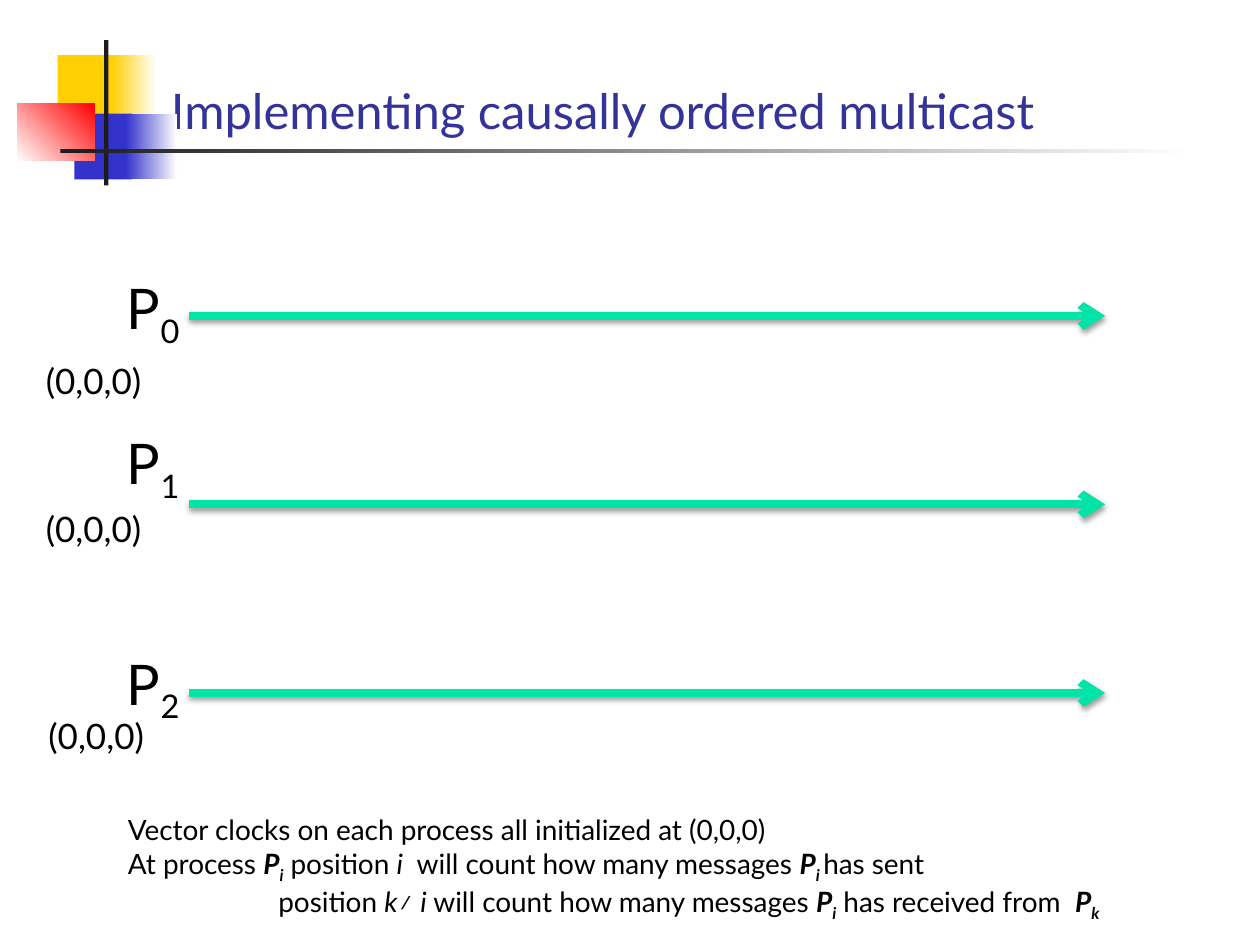
from lxml import etree
from pptx import Presentation
from pptx.dml.color import RGBColor
from pptx.enum.shapes import MSO_CONNECTOR as Connector, MSO_SHAPE as Shape
from pptx.enum.text import MSO_ANCHOR as Anchor, MSO_AUTO_SIZE as AutoSize, PP_ALIGN as Align
from pptx.oxml import parse_xml
from pptx.oxml.ns import nsdecls, qn
from pptx.util import Pt

COLORS = {
    "yellow": "FFCF01", "blue": "3333CC", "red": "FF0000", "dark": "1C1C1C",
    "white": "FFFFFF", "title": "333399", "text": "000000", "timeline": "00E4A8",
}
FONT = "Lato"
VAR = {"bold": True, "italic": True}
SUB = {**VAR, "sub": True}


def rgb(name):
    return RGBColor.from_string(COLORS[name])


def write(frame, paragraphs, size, color="text", align=Align.LEFT, anchor=Anchor.TOP):
    """Fill a text frame; each paragraph is a list of (text, run format) pairs."""
    frame.word_wrap = True
    frame.auto_size = AutoSize.NONE
    frame.vertical_anchor = anchor
    for index, runs in enumerate(paragraphs):
        paragraph = frame.paragraphs[0] if index == 0 else frame.add_paragraph()
        paragraph.alignment = align
        for text, style in runs:
            run = paragraph.add_run()
            run.text = text
            font = run.font
            font.name, font.size, font.color.rgb = FONT, Pt(size), rgb(color)
            font.bold = style.get("bold", False)
            font.italic = style.get("italic", False)
            if style.get("sub"):
                font._element.set("baseline", "-25000")


def add_text(slide, left, top, width, height, paragraphs, **style):
    box = slide.shapes.add_textbox(Pt(left), Pt(top), Pt(width), Pt(height))
    write(box.text_frame, paragraphs, **style)
    return box


def add_block(slide, left, top, width, height, start, end=None, angle=0):
    """Borderless rectangle, plain or fading from start to end."""
    block = slide.shapes.add_shape(Shape.RECTANGLE, Pt(left), Pt(top), Pt(width), Pt(height))
    block.shadow.inherit = False
    block.line.fill.background()
    if end is None:
        block.fill.solid()
        block.fill.fore_color.rgb = rgb(start)
    else:
        block.fill.gradient()
        block.fill.gradient_angle = angle
        for stop, name in zip(block.fill.gradient_stops, (start, end)):
            stop.color.rgb = rgb(name)


def add_ornament(slide, left, top):
    add_block(slide, left + 23, top + 8.5, 34.5, 37.5, "yellow")
    add_block(slide, left + 53.5, top + 8.5, 26, 37.5, "yellow", "white")
    add_block(slide, left + 32.5, top + 42, 33, 37.5, "blue")
    add_block(slide, left + 62, top + 42, 29, 37.5, "blue", "white")
    add_block(slide, left, top + 36, 44, 33, "white", "red", angle=45)
    add_block(slide, left + 49.5, top, 2.5, 83, "dark")
    add_block(slide, left + 24.5, top + 62, 648, 2.5, "dark", "white")


def add_title(slide, left, top, width, height):
    title = slide.shapes.title
    title.left, title.top, title.width, title.height = map(Pt, (left, top, width, height))
    write(title.text_frame, [[("Implementing causally ordered multicast", {})]],
          size=28, color="title", anchor=Anchor.BOTTOM)


def add_timeline(slide, left, y, width):
    """Arrow pointing right with a soft shadow below it."""
    arrow = slide.shapes.add_connector(Connector.STRAIGHT, Pt(left), Pt(y), Pt(left + width), Pt(y))
    arrow.line.width = Pt(4.5)
    arrow.line.color.rgb = rgb("timeline")
    etree.SubElement(arrow.line._get_or_add_ln(), qn("a:tailEnd"), type="arrow")
    arrow._element.spPr.append(parse_xml(
        f'<a:effectLst {nsdecls("a")}>'
        f'<a:outerShdw blurRad="{Pt(3.1)}" dist="{Pt(1.6)}" dir="5400000" rotWithShape="0">'
        f'<a:srgbClr val="{COLORS["text"]}"><a:alpha val="38000"/></a:srgbClr>'
        '</a:outerShdw></a:effectLst>'))


def add_processes(slide, left, top, width, gap):
    """Timelines at equal gaps, each with its process name and vector clock."""
    centered = {"align": Align.CENTER, "anchor": Anchor.MIDDLE}
    label_places = [(160.5, 196.5, 0), (249, 281, 0), (375, 399.5, 1.5)]
    for number, (name_top, clock_top, clock_left) in enumerate(label_places):
        add_timeline(slide, left, top + number * gap, width)
        add_text(slide, left - 46, name_top, 51, 35.5,
                 [[("P", {}), (str(number), {"sub": True})]], size=32, **centered)
        add_text(slide, clock_left, clock_top, 107, 42, [[("(0,0,0)", {})]], size=20, **centered)


def add_explanation(slide, left, top, width, height):
    italic = {"italic": True}
    paragraphs = [
        [("Vector clocks on each process all initialized at (0,0,0)", {})],
        [("At process ", {}), ("P", VAR), ("i  ", SUB), ("position ", {}), ("i", italic),
         ("  will count how many messages ", {}), ("P", VAR), ("i ", SUB), ("has sent", {})],
        [("position ", {}), ("k≠ i", italic), (" will count how many messages ", {}),
         ("P", VAR), ("i", SUB), (" has received from  ", {}), ("P", VAR), ("k", SUB)],
    ]
    box = add_text(slide, left, top, width, height, paragraphs, size=16)
    last = box.text_frame.paragraphs[-1]._p.get_or_add_pPr()
    last.set("marL", str(Pt(86)))
    last.set("indent", "0")


def main():
    deck = Presentation()
    deck.slide_width, deck.slide_height = Pt(720), Pt(540)
    slide = deck.slides.add_slide(deck.slide_layouts[5])
    add_ornament(slide, 10, 23)
    add_processes(slide, 108, 180.5, 523.5, 107.75)
    add_title(slide, 90.5, 16.5, 613.5, 67)
    add_explanation(slide, 66, 461, 620, 65.5)
    deck.save("out.pptx")


if __name__ == "__main__":
    main()
